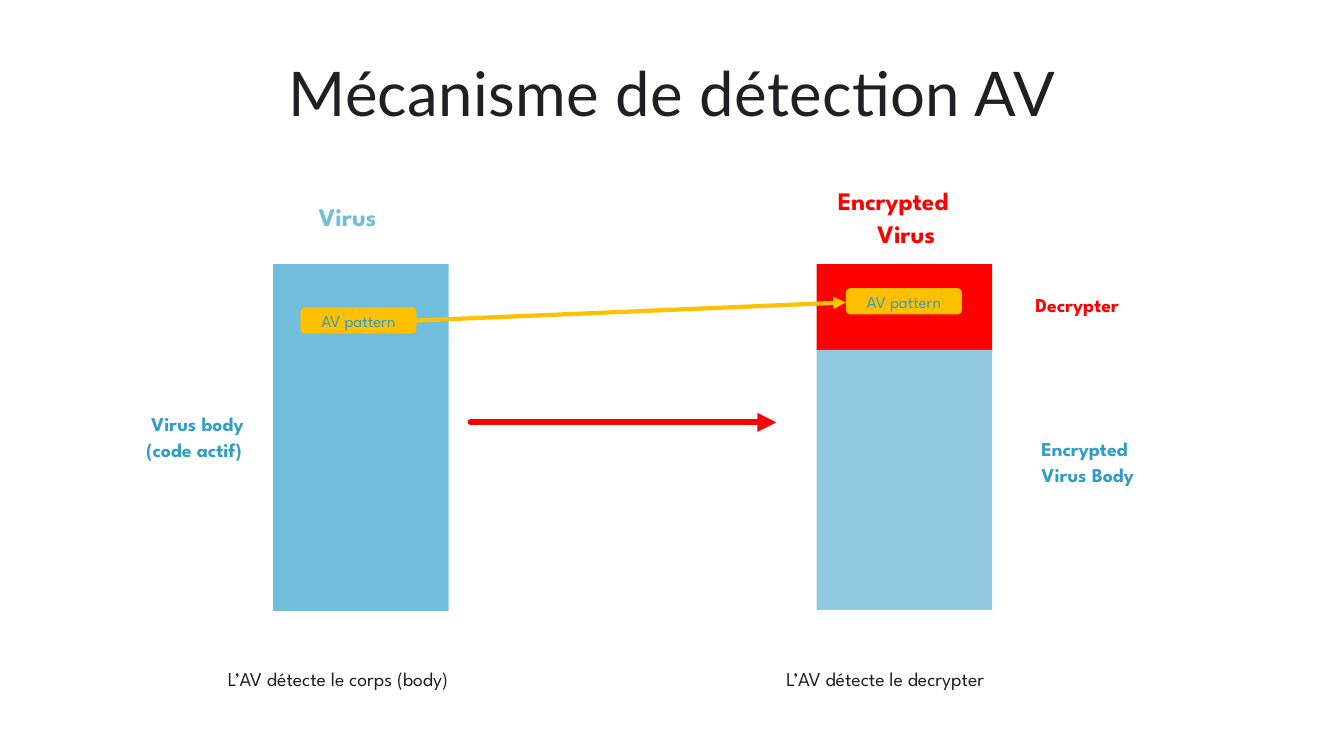
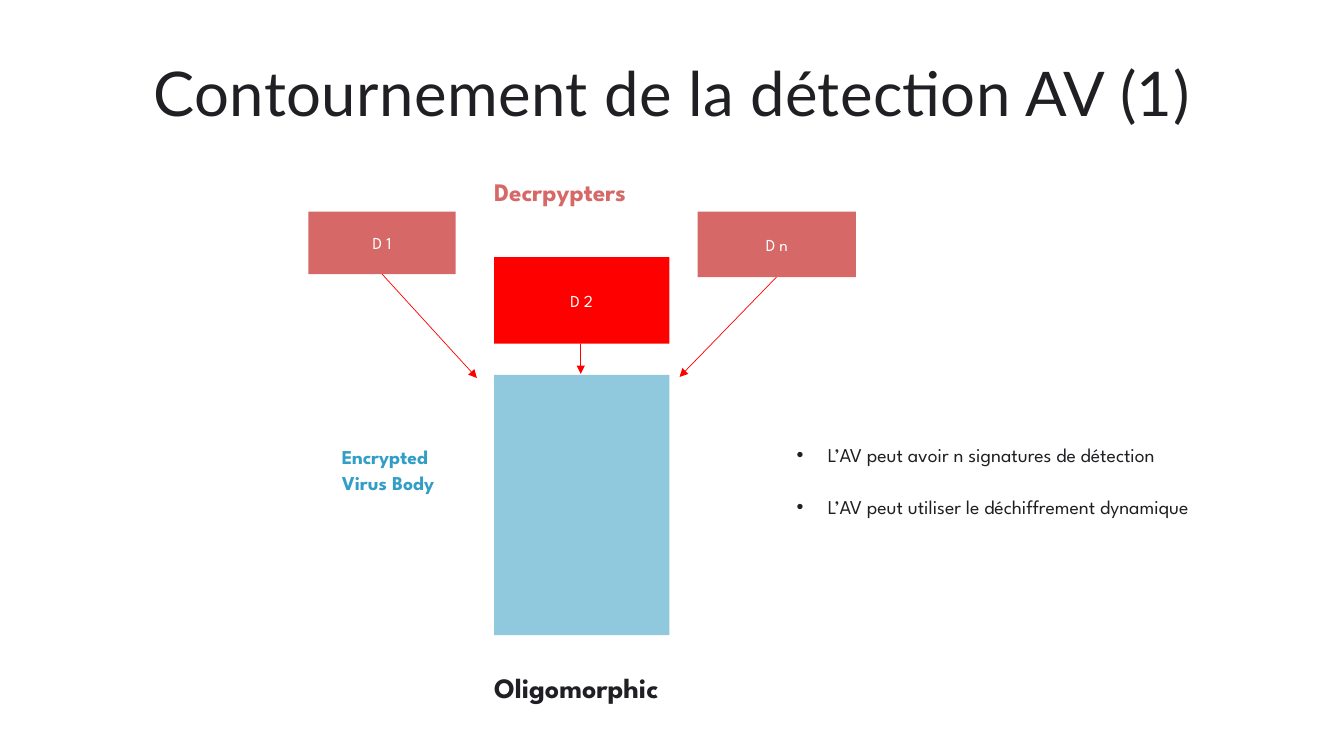
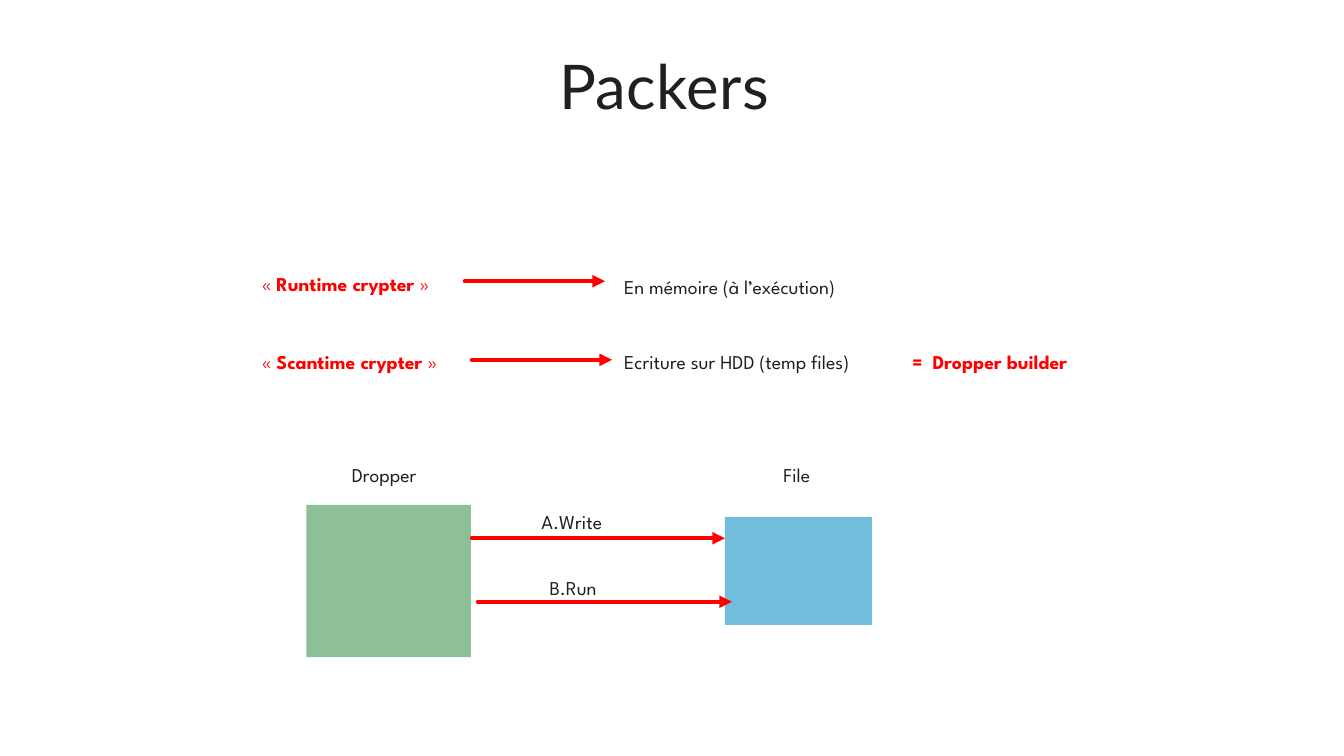
from dataclasses import dataclass

from lxml import etree
from pptx import Presentation
from pptx.dml.color import RGBColor
from pptx.enum.shapes import MSO_CONNECTOR, MSO_SHAPE
from pptx.enum.text import MSO_ANCHOR, MSO_AUTO_SIZE, PP_ALIGN
from pptx.oxml.ns import qn
from pptx.presentation import Presentation as Deck
from pptx.slide import Slide
from pptx.text.text import TextFrame
from pptx.util import Inches, Pt

INK = RGBColor(0x20, 0x20, 0x24)
SKY = RGBColor(0x70, 0xBE, 0xDB)
PALE_BLUE = RGBColor(0x90, 0xC8, 0xDE)
TEAL = RGBColor(0x32, 0x9E, 0xC6)
RED = RGBColor(0xFF, 0x00, 0x00)
ROSE = RGBColor(0xD6, 0x69, 0x67)
AMBER = RGBColor(0xFF, 0xC0, 0x00)
GREEN = RGBColor(0x8D, 0xC0, 0x98)
WHITE = RGBColor(0xFF, 0xFF, 0xFF)

TITLE_FONT = "Lato"
BODY_FONT = "League Spartan"
LINE_SPACING = 1.1
LAYOUT_LIST = 1
LAYOUT_TITLE_ONLY = 5

RECTANGLE = MSO_SHAPE.RECTANGLE
ROUNDED = MSO_SHAPE.ROUNDED_RECTANGLE
STRAIGHT = MSO_CONNECTOR.STRAIGHT
CENTER = PP_ALIGN.CENTER
LEFT = PP_ALIGN.LEFT
TOP = MSO_ANCHOR.TOP
MIDDLE = MSO_ANCHOR.MIDDLE
FIT_SHAPE = MSO_AUTO_SIZE.SHAPE_TO_FIT_TEXT


@dataclass(frozen=True)
class Block:
    left: float
    top: float
    width: float
    height: float
    fill: RGBColor
    text: str = ""
    color: RGBColor = WHITE
    kind: MSO_SHAPE = RECTANGLE


@dataclass(frozen=True)
class Line:
    text: str
    indent: float = 0
    quoted: bool = False
    tab: float = 0


@dataclass(frozen=True)
class Label:
    left: float
    top: float
    width: float
    height: float
    lines: tuple[Line, ...]
    color: RGBColor = INK
    size: float = 14
    bold: bool = False


@dataclass(frozen=True)
class Arrow:
    start: tuple[float, float]
    end: tuple[float, float]
    color: RGBColor = RED
    weight: float = 3


def set_margins(frame: TextFrame, margin: float) -> None:
    frame.margin_left = frame.margin_right = Inches(margin)
    frame.margin_top = frame.margin_bottom = Inches(margin)


def add_titled_slide(deck: Deck, layout: int, title: str,
                     left: float = 0.79, top: float = 0.6) -> Slide:
    slide = deck.slides.add_slide(deck.slide_layouts[layout])
    box = slide.shapes.title
    box.left, box.top = Inches(left), Inches(top)
    box.width, box.height = Inches(11.76), Inches(0.7)
    frame = box.text_frame
    frame.text = title
    frame.auto_size = FIT_SHAPE
    frame.vertical_anchor = TOP
    set_margins(frame, 0)
    para = frame.paragraphs[0]
    para.alignment = CENTER
    para.line_spacing = 0.95
    para.font.name = TITLE_FONT
    para.font.size = Pt(44)
    para.font.color.rgb = INK
    para.runs[0].font.language_id = None
    para.runs[0]._r.get_or_add_rPr().set("spc", "30")
    return slide


def draw_block(slide: Slide, block: Block) -> None:
    shape = slide.shapes.add_shape(
        block.kind, Inches(block.left), Inches(block.top),
        Inches(block.width), Inches(block.height))
    shape.shadow.inherit = False
    shape.fill.solid()
    shape.fill.fore_color.rgb = block.fill
    shape.line.fill.background()
    if not block.text:
        return
    frame = shape.text_frame
    frame.text = block.text
    frame.word_wrap = False
    frame.vertical_anchor = MIDDLE
    set_margins(frame, 0.08)
    para = frame.paragraphs[0]
    para.alignment = CENTER
    para.font.name = BODY_FONT
    para.font.size = Pt(12)
    para.font.color.rgb = block.color


def write_lines(frame: TextFrame, label: Label) -> None:
    frame.word_wrap = False
    frame.auto_size = FIT_SHAPE
    frame.vertical_anchor = TOP
    set_margins(frame, 0)
    for index, line in enumerate(label.lines):
        para = frame.add_paragraph() if index else frame.paragraphs[0]
        properties = para._p.get_or_add_pPr()
        if line.indent:
            properties.set("marL", str(Inches(line.indent)))
        if line.tab:
            stops = etree.SubElement(properties, qn("a:tabLst"))
            etree.SubElement(stops, qn("a:tab"), pos=str(Inches(line.tab)), algn="l")
        parts = ("« ", f"{line.text} ", "»") if line.quoted else (line.text,)
        for part in parts:
            span = para.add_run()
            span.text = part
        if line.quoted:
            para.runs[1].font.bold = True
        para.alignment = LEFT
        para.line_spacing = LINE_SPACING
        para.font.name = BODY_FONT
        para.font.size = Pt(label.size)
        para.font.bold = label.bold
        para.font.color.rgb = label.color


def draw_label(slide: Slide, label: Label) -> None:
    box = slide.shapes.add_textbox(
        Inches(label.left), Inches(label.top),
        Inches(label.width), Inches(label.height))
    write_lines(box.text_frame, label)


def fill_bullets(slide: Slide, label: Label) -> None:
    body = slide.placeholders[1]
    body.left, body.top = Inches(label.left), Inches(label.top)
    body.width, body.height = Inches(label.width), Inches(label.height)
    write_lines(body.text_frame, label)
    for index, para in enumerate(body.text_frame.paragraphs):
        para._p.get_or_add_pPr().set("indent", str(-Inches(0.31)))
        para.space_before = Pt(18.5 if index else 0)


def draw_arrow(slide: Slide, arrow: Arrow) -> None:
    connector = slide.shapes.add_connector(
        STRAIGHT, *(Inches(value) for value in arrow.start + arrow.end))
    connector.line.color.rgb = arrow.color
    connector.line.width = Pt(arrow.weight)
    properties = connector.element.spPr
    outline = properties.find(qn("a:ln"))
    outline.set("cap", "rnd")
    etree.SubElement(outline, qn("a:tailEnd"), type="triangle")
    etree.SubElement(properties, qn("a:effectLst"))


def draw_all(slide: Slide, blocks: tuple[Block, ...], arrows: tuple[Arrow, ...],
             labels: tuple[Label, ...]) -> None:
    for block in blocks:
        draw_block(slide, block)
    for arrow in arrows:
        draw_arrow(slide, arrow)
    for label in labels:
        draw_label(slide, label)


def encrypted_body_label(left: float, top: float) -> Label:
    return Label(left, top, 1.06, 0.5, (Line("Encrypted"), Line("Virus Body")),
                 TEAL, bold=True)


def pattern_block(left: float, top: float) -> Block:
    return Block(left, top, 1.15, 0.26, AMBER, "AV pattern", TEAL, ROUNDED)


def build_detection(deck: Deck) -> None:
    slide = add_titled_slide(deck, LAYOUT_TITLE_ONLY, "Mécanisme de détection AV")
    blocks = (
        Block(2.71, 2.62, 1.74, 3.44, SKY),
        Block(8.1, 2.62, 1.74, 0.86, RED),
        Block(8.1, 3.47, 1.74, 2.58, PALE_BLUE),
        pattern_block(2.98, 3.05),
        pattern_block(8.39, 2.86),
    )
    arrows = (
        Arrow((4.67, 4.19), (7.7, 4.19), weight=4.5),
        Arrow((4.13, 3.18), (8.39, 3), AMBER),
    )
    labels = (
        Label(3.16, 1.97, 0.66, 0.31, (Line("Virus"),), SKY, 18, True),
        Label(1.45, 4.06, 1.14, 0.5,
              (Line("Virus body", indent=0.05), Line("(code actif)")), TEAL, bold=True),
        Label(8.31, 1.81, 1.33, 0.65,
              (Line("Encrypted"), Line("Virus", indent=0.39)), RED, 18, True),
        encrypted_body_label(10.33, 4.31),
        Label(10.27, 2.88, 1, 0.24, (Line("Decrypter"),), RED, bold=True),
        Label(2.26, 6.59, 2.62, 0.24, (Line("L’AV détecte le corps (body)"),)),
        Label(7.8, 6.59, 2.33, 0.24, (Line("L’AV détecte le decrypter"),)),
    )
    draw_all(slide, blocks, arrows, labels)


def build_bypass(deck: Deck) -> None:
    slide = add_titled_slide(deck, LAYOUT_LIST, "Contournement de la détection AV (1)")
    blocks = (
        Block(4.9, 2.55, 1.74, 0.86, RED, "D 2"),
        Block(4.9, 3.72, 1.74, 2.58, PALE_BLUE),
        Block(6.92, 2.1, 1.57, 0.65, ROSE, "D n"),
        Block(3.06, 2.1, 1.46, 0.62, ROSE, "D 1"),
    )
    arrows = (
        Arrow((3.79, 2.72), (4.73, 3.75), weight=0.5),
        Arrow((5.76, 3.41), (5.76, 3.71), weight=0.5),
        Arrow((7.7, 2.75), (6.74, 3.74), weight=0.5),
    )
    labels = (
        Label(4.9, 1.72, 1.59, 0.31, (Line("Decrpypters"),), ROSE, 18, True),
        Label(4.9, 6.62, 1.92, 0.35, (Line("Oligomorphic"),), INK, 20, True),
        encrypted_body_label(3.39, 4.39),
    )
    draw_all(slide, blocks, arrows, labels)
    fill_bullets(slide, Label(7.9, 4.37, 4.69, 0.76, (
        Line("L’AV peut avoir n signatures de détection", indent=0.31),
        Line("L’AV peut utiliser le déchiffrement dynamique", indent=0.31),
    )))


def build_packers(deck: Deck) -> None:
    slide = add_titled_slide(deck, LAYOUT_TITLE_ONLY, "Packers", 0.71, 0.53)
    blocks = (
        Block(3.04, 5.01, 1.63, 1.51, GREEN),
        Block(7.19, 5.13, 1.46, 1.07, SKY),
    )
    arrows = (
        Arrow((4.61, 2.79), (6, 2.79)),
        Arrow((4.68, 3.57), (6.07, 3.57)),
        Arrow((4.68, 5.34), (7.19, 5.34)),
        Arrow((4.74, 5.97), (7.26, 5.97)),
    )
    labels = (
        Label(2.6, 2.67, 1.9, 0.24, (Line("Runtime crypter", quoted=True),), RED),
        Label(2.6, 3.45, 2, 0.24, (Line("Scantime crypter", quoted=True),), RED),
        Label(6.19, 2.7, 2.43, 0.24, (Line("En mémoire (à l’exécution)"),)),
        Label(6.19, 3.45, 2.62, 0.24, (Line("Ecriture sur HDD (temp files)"),)),
        Label(9.05, 3.45, 2, 0.24, (Line("=\tDropper builder", tab=0.2),), RED, bold=True),
        Label(3.49, 4.57, 0.74, 0.24, (Line("Dropper"),)),
        Label(7.77, 4.57, 0.32, 0.24, (Line("File"),)),
        Label(5.37, 5.04, 0.65, 0.24, (Line("A.Write"),)),
        Label(5.45, 5.69, 0.55, 0.24, (Line("B.Run"),)),
    )
    draw_all(slide, blocks, arrows, labels)


def main() -> None:
    deck = Presentation()
    deck.slide_width, deck.slide_height = Inches(13.33), Inches(7.5)
    build_detection(deck)
    build_bypass(deck)
    build_packers(deck)
    deck.save("out.pptx")


if __name__ == "__main__":
    main()
